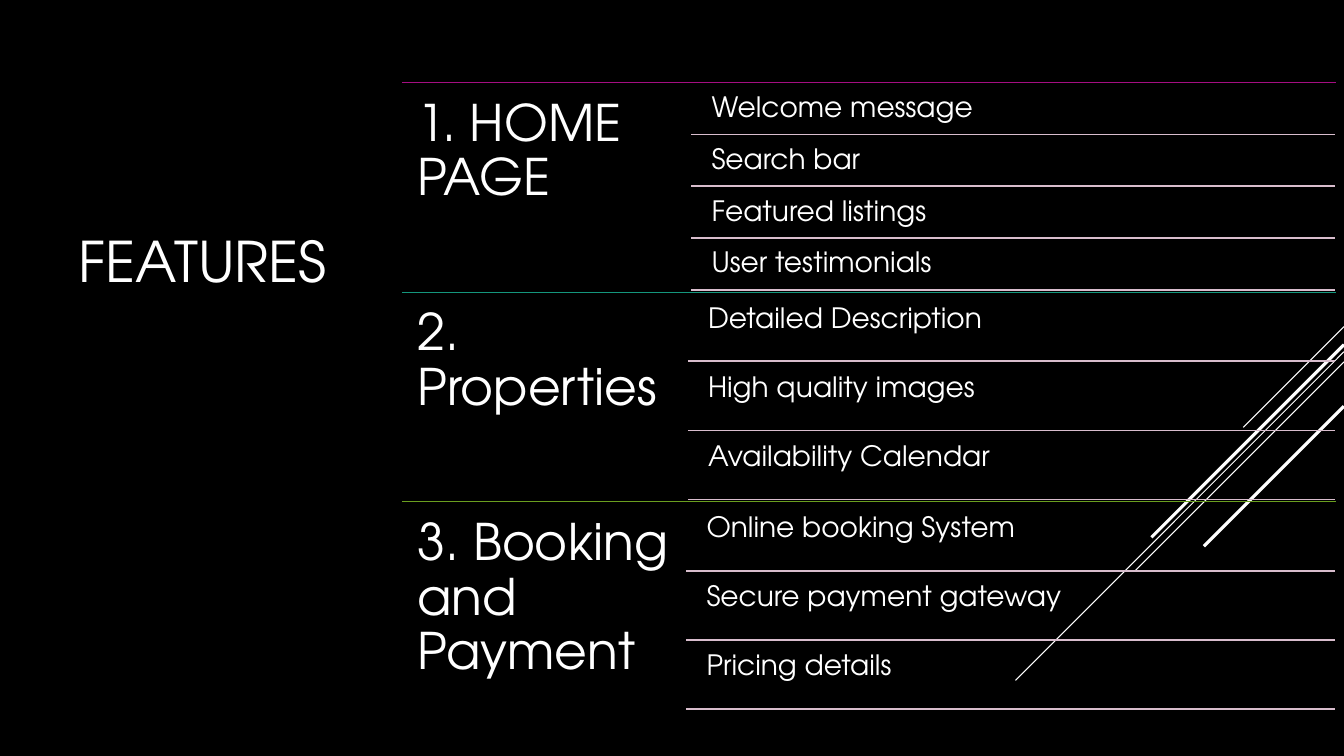
from lxml import etree
from pptx import Presentation
from pptx.dml.color import RGBColor
from pptx.enum.shapes import MSO_CONNECTOR
from pptx.enum.text import MSO_ANCHOR, PP_ALIGN
from pptx.oxml.ns import qn
from pptx.util import Pt

STRAIGHT = MSO_CONNECTOR.STRAIGHT
TOP, BOTTOM = MSO_ANCHOR.TOP, MSO_ANCHOR.BOTTOM
LEFT, RIGHT = PP_ALIGN.LEFT, PP_ALIGN.RIGHT
FONT = "TeX Gyre Adventor"
WHITE, BLACK, PINK = "FFFFFF", "000000", "D8BDCD"
SCALE = 4572  # EMU in one px, 200 px to the inch

# heading, rule colour, heading width, items
PARTS = [
    ("1. HOME PAGE", "A50E82", 574,
     ["Welcome message", "Search bar", "Featured listings", "User testimonials"]),
    ("2. Properties", "14967C", 567,
     ["Detailed Description", "High quality images", "Availability Calendar"]),
    ("3. Booking and Payment", "6A9E1F", 564,
     ["Online booking System", "Secure payment gateway", "Pricing details"]),
]
# top at the right edge, drop, weight
RAYS = [(648, 200, 0.75), (698, 652, 0.75), (718, 415, 0.75),
        (684, 382, 2.25), (806, 278, 2.25)]


def px(n):
    return round(n * SCALE)


def color(code):
    return RGBColor.from_string(code)


def line(slide, x1, y1, x2, y2, code, weight):
    item = slide.shapes.add_connector(STRAIGHT, px(x1), px(y1), px(x2), px(y2))
    item.line.color.rgb = color(code)
    item.line.width = Pt(weight)
    etree.SubElement(item._element.spPr, qn("a:effectLst"))


def label(slide, box, text, size, pad, space=0.9, align=LEFT, anchor=TOP):
    frame = slide.shapes.add_textbox(*map(px, box)).text_frame
    frame.word_wrap = True
    frame.vertical_anchor = anchor
    frame.margin_left = frame.margin_right = px(pad[0])
    frame.margin_top = frame.margin_bottom = px(pad[1])
    para = frame.paragraphs[0]
    para.alignment = align
    para.line_spacing = space
    run = para.add_run()
    run.text = text
    run.font.name = FONT
    run.font.size = Pt(size)
    run.font.color.rgb = color(WHITE)


def rays(slide, edge):
    """Draw the 45-degree lines that end at the right edge."""
    for top, drop, weight in RAYS:
        line(slide, edge, top, edge - drop, top + drop, WHITE, weight)


def section(slide, box, part):
    """Draw a heading beside its ruled list of items."""
    x, y, w, h = box
    head, code, wide, items = part
    line(slide, x, y, x + w, y, code, 0.75)
    label(slide, (x, y, wide, h), head, 36, (30, 30))
    left, right = x + wide, x + w - 2
    step = (h - 5) / len(items)
    high = step * 0.95
    for i, text in enumerate(items, 1):
        base = y + i * step
        label(slide, (left + 24, base - high, right - left - 24, high),
              text, 20, (16, 16))
        line(slide, left, base, right, base, PINK, 1.25)


def features(slide, box):
    x, y, w, h = box
    high = h / len(PARTS)
    label(slide, (x, y, 550, 428), "FEATURES", 40, (20, 10),
          space=1.0, align=RIGHT, anchor=BOTTOM)
    for i, part in enumerate(PARTS):
        section(slide, (x + 680, y + i * high, w - 680, high), part)


def main():
    deck = Presentation()
    deck.slide_width, deck.slide_height = px(2667), px(1500)
    slide = deck.slides.add_slide(deck.slide_layouts[6])
    fill = slide.background.fill
    fill.solid()
    fill.fore_color.rgb = color(BLACK)
    rays(slide, 2667)
    features(slide, (118, 164, 2534, 1248))
    deck.save("out.pptx")


if __name__ == "__main__":
    main()
